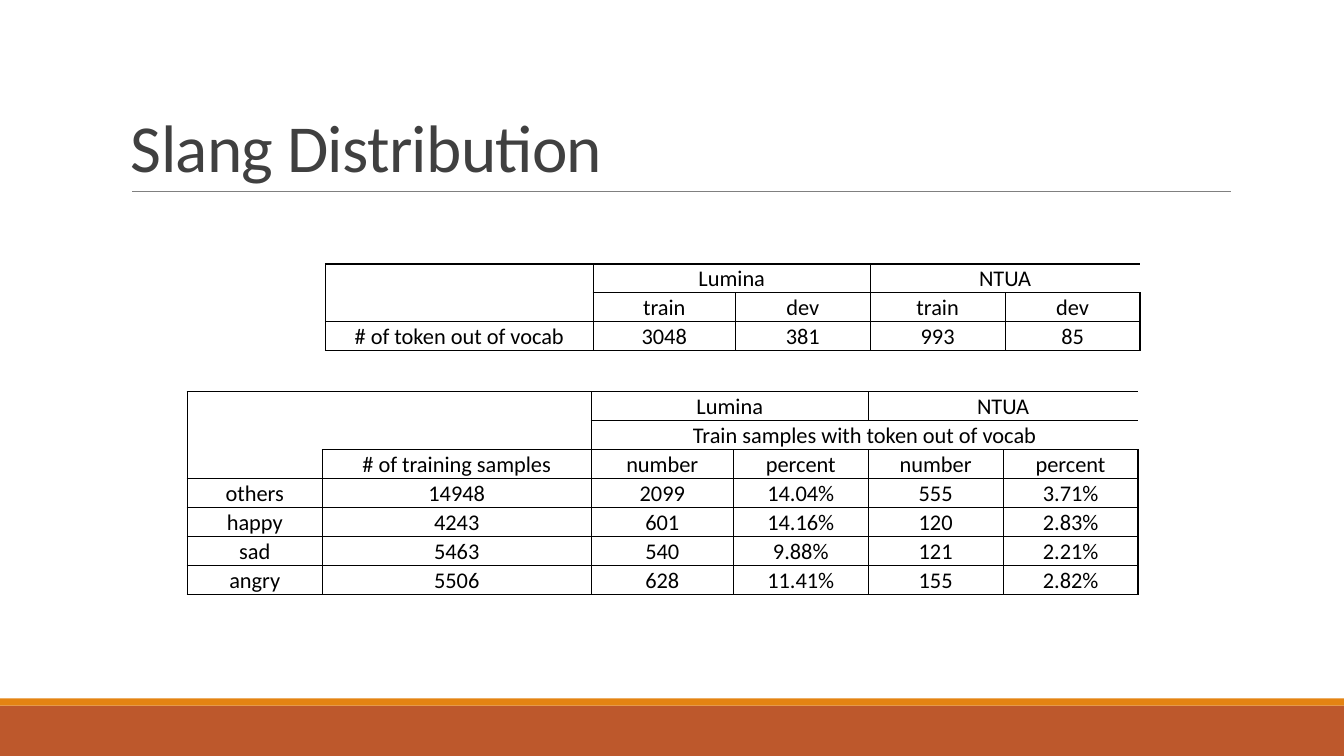
"""Build the "Slang Distribution" slide with its two vocabulary tables."""
from lxml.etree import SubElement
from pptx import Presentation
from pptx.dml.color import RGBColor
from pptx.enum.shapes import MSO_CONNECTOR, MSO_SHAPE
from pptx.enum.text import MSO_ANCHOR, PP_ALIGN
from pptx.oxml.ns import qn
from pptx.util import Cm, Pt

COLORS = {"rust": "BD582C", "orange": "E48312", "rule": "808080",
          "title": "404040", "ink": "000000"}
FONT = "Calibri"
ROW_HEIGHT = 0.73
SIDES = {"lnL": (0, -1), "lnR": (0, 1), "lnT": (-1, 0), "lnB": (1, 0)}


def add_run(paragraph, text, size, color):
    run = paragraph.add_run()
    run.text = text
    run.font.name = FONT
    run.font.size = Pt(size)
    run.font.color.rgb = RGBColor.from_string(COLORS[color])
    return run


def add_border(cell, side, visible):
    border = SubElement(cell._tc.get_or_add_tcPr(), qn(f"a:{side}"), w=str(Pt(1)))
    if visible:
        fill = SubElement(border, qn("a:solidFill"))
        SubElement(fill, qn("a:srgbClr"), val=COLORS["ink"])
    else:
        SubElement(border, qn("a:noFill"))


presentation = Presentation()
presentation.slide_width = Cm(33.87)
presentation.slide_height = Cm(19.05)
slide = presentation.slides.add_slide(presentation.slide_layouts[6])

for top, height, color in [(17.78, 1.27, "rust"), (17.6, 0.18, "orange")]:
    band = slide.shapes.add_shape(MSO_SHAPE.RECTANGLE, 0, Cm(top), Cm(33.87), Cm(height))
    band.shadow.inherit = False
    band.fill.solid()
    band.fill.fore_color.rgb = RGBColor.from_string(COLORS[color])
    band.line.fill.background()

title_rule = slide.shapes.add_connector(
    MSO_CONNECTOR.STRAIGHT, Cm(3.33), Cm(4.82), Cm(31.01), Cm(4.82))
title_rule.line.color.rgb = RGBColor.from_string(COLORS["rule"])
title_rule.line.width = Pt(0.5)
SubElement(title_rule._element.spPr, qn("a:effectLst"))

title_box = slide.shapes.add_textbox(Cm(3.05), Cm(0.79), Cm(27.94), Cm(4.04))
title_box.text_frame.word_wrap = True
title_box.text_frame.vertical_anchor = MSO_ANCHOR.BOTTOM
title = title_box.text_frame.paragraphs[0]
title.line_spacing = 0.85
title_run = add_run(title, "Slang Distribution", 48, "title")
title_run.font._element.set("spc", "-50")

tables = [
    {
        "left": 8.2, "top": 6.65,
        "widths": [6.75, 3.58, 3.4, 3.4, 3.4],
        "rows": [
            ["", "Lumina", "", "NTUA", ""],
            ["", "train", "dev", "train", "dev"],
            ["# of token out of vocab", "3048", "381", "993", "85"],
        ],
        "spans": {(0, 0): (2, 1), (0, 1): (1, 2), (0, 3): (1, 2)},
        "open_edge": set(),
    },
    {
        "left": 4.72, "top": 9.87,
        "widths": [3.4, 6.78, 3.58, 3.4, 3.4, 3.4],
        "rows": [
            ["", "", "Lumina", "", "NTUA", ""],
            ["", "", "Train samples with token out of vocab", "", "", ""],
            ["", "# of training samples", "number", "percent", "number", "percent"],
            ["others", "14948", "2099", "14.04%", "555", "3.71%"],
            ["happy", "4243", "601", "14.16%", "120", "2.83%"],
            ["sad", "5463", "540", "9.88%", "121", "2.21%"],
            ["angry", "5506", "628", "11.41%", "155", "2.82%"],
        ],
        "spans": {(0, 0): (3, 1), (0, 1): (2, 1), (0, 2): (1, 2),
                  (0, 4): (1, 2), (1, 2): (1, 4)},
        "open_edge": {(0, 0), (0, 1)},
    },
]

for data in tables:
    rows, widths = data["rows"], data["widths"]
    frame = slide.shapes.add_table(
        len(rows), len(widths), Cm(data["left"]), Cm(data["top"]),
        Cm(sum(widths)), Cm(ROW_HEIGHT * len(rows)))
    table = frame.table
    table.first_row = False
    table.horz_banding = False
    for column, width in zip(table.columns, widths):
        column.width = Cm(width)
    for row in table.rows:
        row.height = Cm(ROW_HEIGHT)

    owners = {}
    for (top, left), (height, width) in data["spans"].items():
        table.cell(top, left).merge(table.cell(top + height - 1, left + width - 1))
        for r in range(top, top + height):
            for c in range(left, left + width):
                owners[r, c] = (top, left)

    for r, texts in enumerate(rows):
        for c, text in enumerate(texts):
            cell = table.cell(r, c)
            cell.margin_left = cell.margin_right = cell.margin_top = Cm(0.03)
            cell.margin_bottom = 0
            cell.vertical_anchor = MSO_ANCHOR.BOTTOM
            owner = owners.get((r, c), (r, c))
            for side, (down, right) in SIDES.items():
                neighbour = (r + down, c + right)
                pair = {owner, owners.get(neighbour, neighbour)}
                add_border(cell, side, len(pair) == 2 and pair != data["open_edge"])
            cell.fill.background()
            paragraph = cell.text_frame.paragraphs[0]
            paragraph.alignment = PP_ALIGN.CENTER
            if text:
                add_run(paragraph, text, 16, "ink")
            else:
                SubElement(paragraph._p, qn("a:endParaRPr"), sz="1600")

presentation.save("out.pptx")
